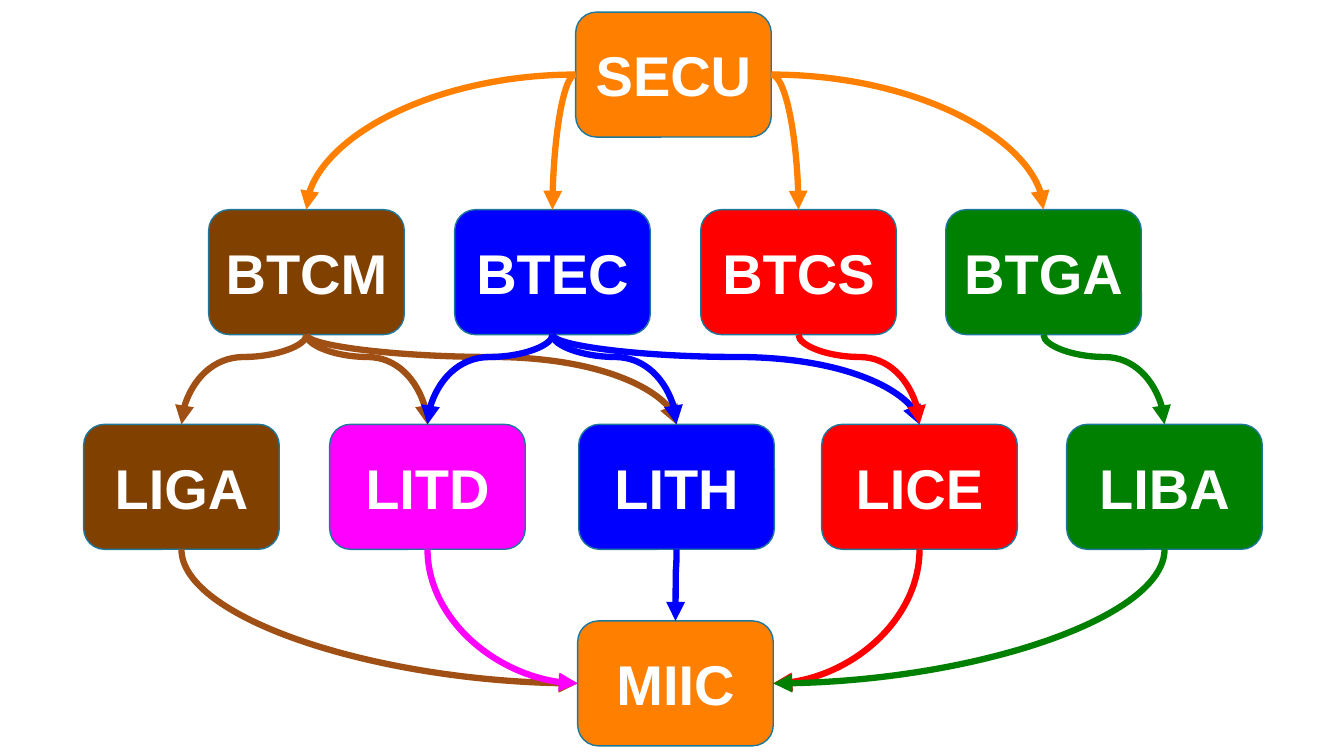
import pptx
import pptx.util
import pptx.dml.color
import pptx.enum.shapes
import pptx.enum.text
import pptx.oxml.ns
from lxml import etree

Inches, Pt = pptx.util.Inches, pptx.util.Pt
RGB = pptx.dml.color.RGBColor.from_string
qn = pptx.oxml.ns.qn

THEME = {
    "font": "Arial", "size": Pt(40), "text": "FFFFFF",
    "outline": "1E789B", "outline_width": Pt(1), "arrow_width": Pt(4.5),
    "orange": "FF7F00", "orange_arrow": "FF8000",
    "brown": "804000", "brown_arrow": "A05014",
    "blue": "0000FF", "red": "FF0000", "green": "008000", "magenta": "FF00FF",
}
BOX_W, BOX_H = 1.94, 1.24
TOP, LEFT, BOTTOM, RIGHT = range(4)

ROWS = [
    (0.12, [("SECU", 5.71, "orange")]),
    (2.08, [("BTCM", 2.07, "brown"), ("BTEC", 4.51, "blue"),
            ("BTCS", 6.95, "red"), ("BTGA", 9.38, "green")]),
    (4.21, [("LIGA", 0.83, "brown"), ("LITD", 3.27, "magenta"),
            ("LITH", 5.74, "blue"), ("LICE", 8.15, "red"),
            ("LIBA", 10.58, "green")]),
    (6.16, [("MIIC", 5.73, "orange")]),
]
ARROWS = [
    ("SECU", LEFT, TOP, "orange_arrow", ["BTCM", "BTEC"]),
    ("SECU", RIGHT, TOP, "orange_arrow", ["BTCS", "BTGA"]),
    ("BTCM", BOTTOM, TOP, "brown_arrow", ["LIGA", "LITD", "LITH"]),
    ("BTEC", BOTTOM, TOP, "blue", ["LITD", "LITH", "LICE"]),
    ("BTCS", BOTTOM, TOP, "red", ["LICE"]),
    ("BTGA", BOTTOM, TOP, "green", ["LIBA"]),
    ("LIGA", BOTTOM, LEFT, "brown_arrow", ["MIIC"]),
    ("LITD", BOTTOM, LEFT, "magenta", ["MIIC"]),
    ("LITH", BOTTOM, TOP, "blue", ["MIIC"]),
    ("LICE", BOTTOM, RIGHT, "red", ["MIIC"]),
    ("LIBA", BOTTOM, RIGHT, "green", ["MIIC"]),
]


def add_box(s, name, left, top, color):
    sp = s.shapes.add_shape(
        pptx.enum.shapes.MSO_SHAPE.ROUNDED_RECTANGLE,
        Inches(left), Inches(top), Inches(BOX_W), Inches(BOX_H))
    sp.shadow.inherit = False
    sp.fill.solid()
    sp.fill.fore_color.rgb = RGB(THEME[color])
    sp.line.color.rgb = RGB(THEME["outline"])
    sp.line.width = THEME["outline_width"]
    tf = sp.text_frame
    tf.vertical_anchor = pptx.enum.text.MSO_ANCHOR.MIDDLE
    p = tf.paragraphs[0]
    p.text = name
    p.alignment = pptx.enum.text.PP_ALIGN.CENTER
    p.font.name, p.font.size, p.font.bold = THEME["font"], THEME["size"], True
    p.font.color.rgb = RGB(THEME["text"])
    return sp


def add_arrow(s, start, start_site, end, end_site, color):
    cxn = s.shapes.add_connector(
        pptx.enum.shapes.MSO_CONNECTOR.CURVE, 0, 0, Inches(1), Inches(1))
    cxn.begin_connect(start, start_site)
    cxn.end_connect(end, end_site)
    cxn.line.color.rgb = RGB(THEME[color])
    cxn.line.width = THEME["arrow_width"]
    etree.SubElement(cxn.line._get_or_add_ln(), qn("a:tailEnd"), type="triangle")
    pr = cxn._element.spPr
    etree.SubElement(pr, qn("a:effectLst"))

    geom = pr.find(qn("a:prstGeom"))
    if start_site == BOTTOM and end_site == TOP:
        guides = geom.find(qn("a:avLst"))
        etree.SubElement(guides, qn("a:gd"), name="adj1", fmla="val 24900")
    else:
        geom.set("prst", "curvedConnector2")

    if start_site == BOTTOM:
        x1, y1, x2, y2 = cxn.begin_x, cxn.begin_y, cxn.end_x, cxn.end_y
        cxn.width, cxn.height = abs(y2 - y1), abs(x2 - x1)
        cxn.left = (x1 + x2 - cxn.width) // 2
        cxn.top = (y1 + y2 - cxn.height) // 2
        xfrm = pr.find(qn("a:xfrm"))
        goes_right = x2 > x1
        xfrm.set("rot", str((270 if goes_right else 90) * 60000))
        xfrm.set("flipH", "1" if goes_right else "0")
        xfrm.set("flipV", "0")


prs = pptx.Presentation()
prs.slide_width, prs.slide_height = Inches(13.33), Inches(7.5)
s = prs.slides.add_slide(prs.slide_layouts[6])

boxes = {}
for top, row in ROWS:
    for name, left, color in row:
        boxes[name] = add_box(s, name, left, top, color)

for source, start_site, end_site, color, targets in ARROWS:
    for target in targets:
        add_arrow(s, boxes[source], start_site, boxes[target], end_site, color)

prs.save("out.pptx")
